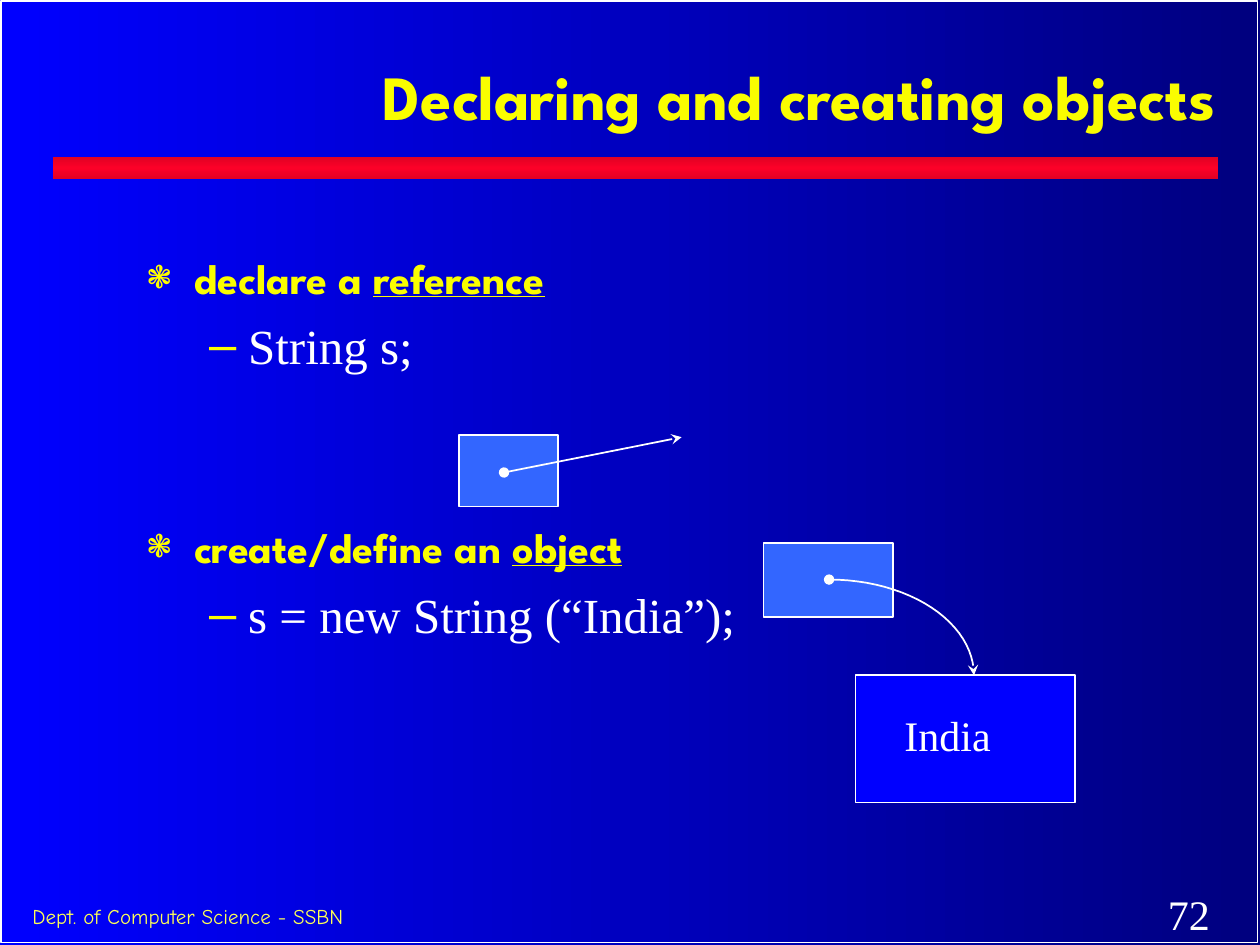
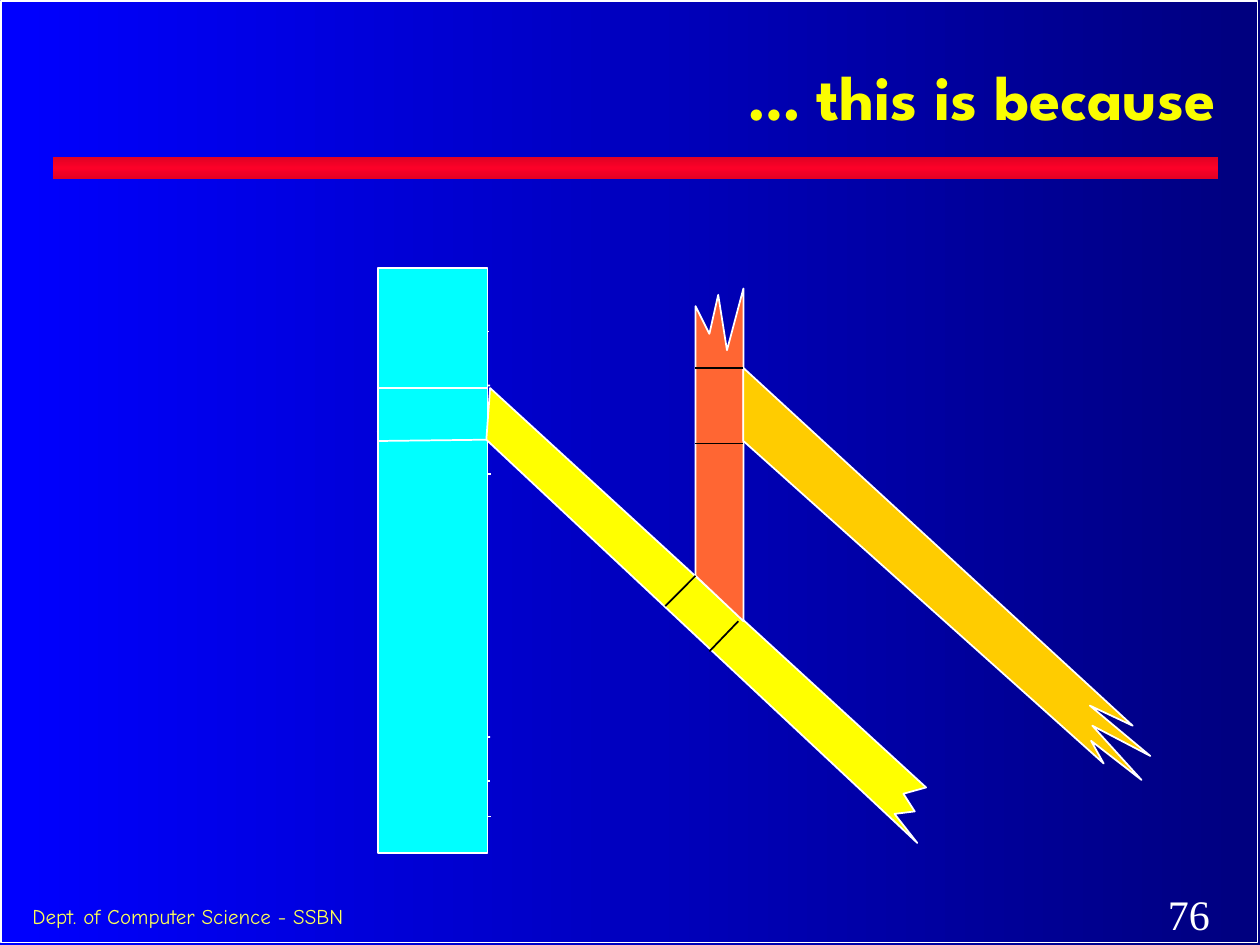
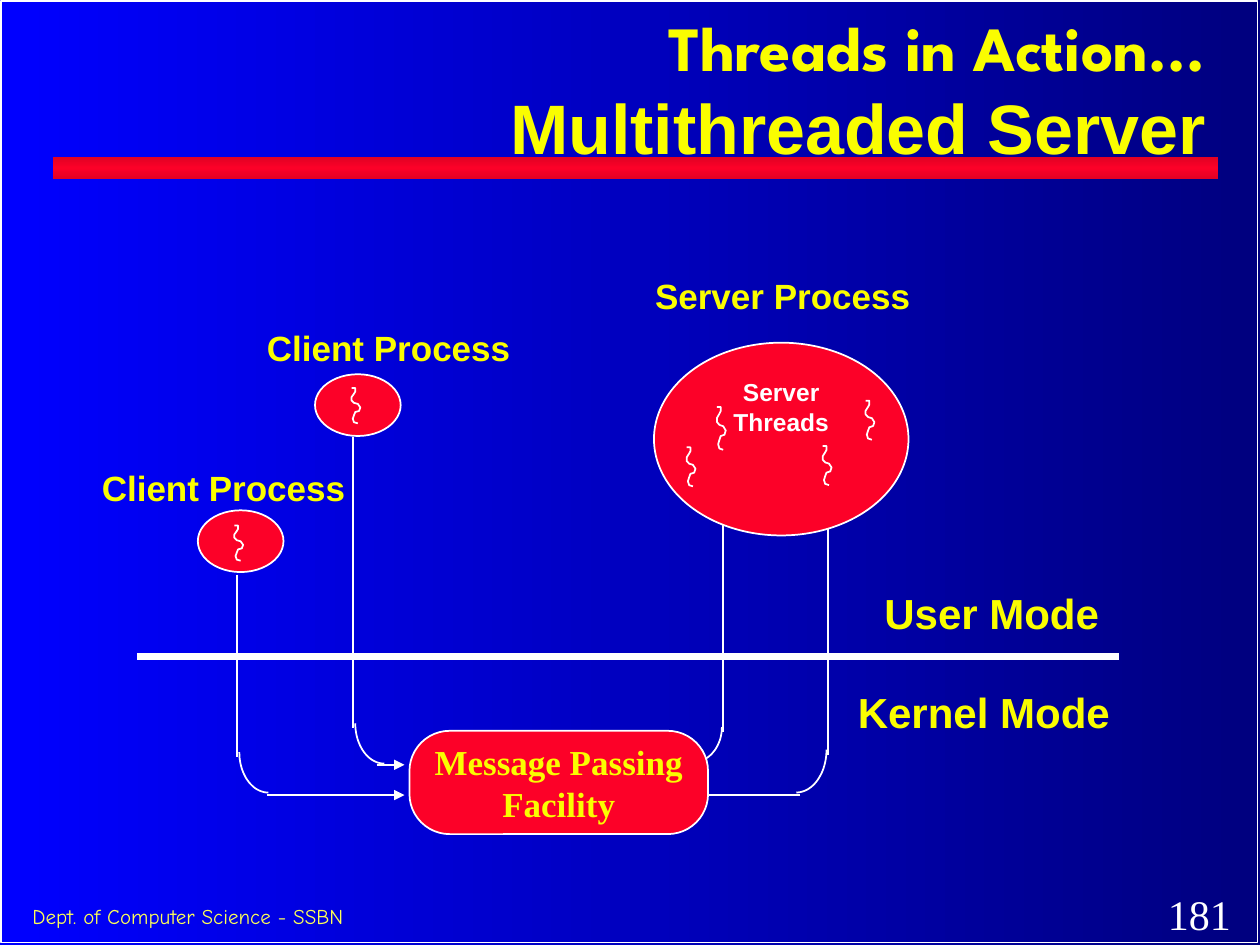
import copy
import math

import pptx
import pptx.dml.color
import pptx.enum.dml
import pptx.enum.shapes
import pptx.enum.text
import pptx.oxml
import pptx.oxml.ns
import pptx.util

C = {"yellow": "FAFD00", "white": "FFFFFF", "black": "000000", "red": "FC0128",
     "dark red": "E20124", "blue": "0000FF", "navy": "00007F", "sky": "3366FF",
     "cyan": "00FFFF", "lemon": "FFFF00", "orange": "FF6633", "amber": "FFCC00",
     "footer": "FEFF56"}
RGB = {name: pptx.dml.color.RGBColor.from_string(h) for name, h in C.items()}
IN, PT = pptx.util.Inches, pptx.util.Pt
SHAPE = pptx.enum.shapes.MSO_SHAPE
ALIGN = pptx.enum.text.PP_ALIGN
ANCHOR = pptx.enum.text.MSO_ANCHOR
NS = 'xmlns:a="http://schemas.openxmlformats.org/drawingml/2006/main"'

HEADING = {"name": "League Spartan", "size": PT(36), "bold": True, "color": "yellow"}
SUBTITLE = HEADING | {"name": "Arial", "size": PT(40)}
TOPIC = HEADING | {"size": PT(24)}
CODE = {"name": "Times New Roman", "size": PT(28), "bold": False, "color": "white"}
PLAIN = CODE | {"size": PT(24)}
LABEL = {"name": "Arial", "size": PT(20), "bold": True, "color": "yellow"}
MODE = LABEL | {"size": PT(24)}
FACILITY = LABEL | {"name": "Times New Roman"}
THREADS = LABEL | {"size": PT(14), "color": "white"}
FOOTER = {"name": "Comic Neue", "size": PT(12), "color": "footer"}


def write(sp, lines, para={}, wrap=True, anchor=ANCHOR.TOP):
    """Fill a shape with lines, each a list of (text, font format) runs."""
    tf = sp.text_frame
    frame = {"word_wrap": wrap, "vertical_anchor": anchor,
             "auto_size": pptx.enum.text.MSO_AUTO_SIZE.NONE}
    for key, value in frame.items():
        setattr(tf, key, value)
    for i, runs in enumerate(lines):
        p = tf.add_paragraph() if i else tf.paragraphs[0]
        for key, value in para.items():
            setattr(p, key, value)
        for text, font in runs:
            r = p.add_run()
            r.text = text
            for key, value in font.items():
                if key == "color":
                    r.font.color.rgb = RGB[value]
                else:
                    setattr(r.font, key, value)


def draw(s, kind, geo, fill=None, line="white", width=1, head=None, tail=None):
    """Draw a "line" (x1, y1, x2, y2), an "arc" (cx, cy, rx, ry, from, to),
    a "free" list of points, or a preset shape (left, top, width, height)."""
    if kind == "line":
        sp = s.shapes.add_connector(pptx.enum.shapes.MSO_CONNECTOR.STRAIGHT, *map(IN, geo))
    elif kind in ("arc", "free"):
        if kind == "arc":
            cx, cy, rx, ry, start, stop = geo
            angles = [math.radians(start + (stop - start) * i / 24) for i in range(25)]
            geo = [(cx + rx * math.cos(a), cy - ry * math.sin(a)) for a in angles]
        pts = [(IN(x), IN(y)) for x, y in geo]
        fb = s.shapes.build_freeform(*pts[0])
        fb.add_line_segments(pts[1:], close=pts[0] == pts[-1])
        sp = fb.convert_to_shape()
    else:
        sp = s.shapes.add_shape(kind, *map(IN, geo))
    if kind != "line":
        if fill:
            sp.fill.solid()
            sp.fill.fore_color.rgb = RGB[fill]
        else:
            sp.fill.background()
    if line:
        sp.line.color.rgb = RGB[line]
        sp.line.width = PT(width)
    else:
        sp.line.fill.background()
    ln = sp._element.spPr.find(pptx.oxml.ns.qn("a:ln"))
    for tag, end in (("headEnd", head), ("tailEnd", tail)):
        if end:
            ln.append(pptx.oxml.parse_xml(f'<a:{tag} {NS} type="{end}"/>'))
    if kind == "line":
        sp._element.spPr.append(pptx.oxml.parse_xml(f"<a:effectLst {NS}/>"))
    else:
        sp.shadow.inherit = False
    return sp


prs = pptx.Presentation()
prs.slide_width, prs.slide_height = IN(10), IN(7.5)

# Shared background
bg = prs.slide_master.background.fill
bg.gradient()
bg.gradient_angle = 0
for stop, name in zip(bg.gradient_stops, ("blue", "navy")):
    stop.color.rgb = RGB[name]

# Shared frame, band, page number, footer and title
TITLE_BOX = (2.71, 0.17, 7.04, 1.25)
pages = [
    (72, 1, TITLE_BOX, [[("Declaring and creating objects", HEADING)]],
     {"line_spacing": 0.89}, ANCHOR.MIDDLE),
    (76, 5, TITLE_BOX, [[("… this is because", HEADING)]],
     {"line_spacing": 0.89}, ANCHOR.MIDDLE),
    (181, 5, (1.13, 0.02, 8.54, 1.36),
     [[("Threads in Action...", HEADING)], [("Multithreaded Server", SUBTITLE)]],
     {}, ANCHOR.TOP),
]
slides = []
for number, layout, box, title, para, anchor in pages:
    s = prs.slides.add_slide(prs.slide_layouts[layout])
    slides.append(s)
    draw(s, SHAPE.RECTANGLE, (0.01, 0.01, 9.97, 7.47))
    band = draw(s, SHAPE.RECTANGLE, (0.42, 1.25, 9.25, 0.17), line=None)
    band.fill.gradient()
    band.fill.gradient_angle = 90
    gs = band._element.spPr.find(".//" + pptx.oxml.ns.qn("a:gsLst"))
    gs.insert(1, copy.deepcopy(gs[0]))
    gs[1].set("pos", "50000")
    for stop, name in zip(band.fill.gradient_stops, ("dark red", "red", "dark red")):
        stop.color.rgb = RGB[name]
    sp = s.shapes.add_textbox(*map(IN, (9.17, 7, 0.75, 0.5)))
    write(sp, [[(str(number), PLAIN)]])
    sp = s.shapes.add_textbox(*map(IN, (0.16, 7.14, 4.84, 0.29)))
    write(sp, [[("Dept. of Computer Science - SSBN", FOOTER)]], {"line_spacing": 0.93})
    sp = s.shapes.title
    sp.left, sp.top, sp.width, sp.height = map(IN, box)
    s.shapes._spTree.append(sp._element)
    write(sp, title, {"alignment": ALIGN.RIGHT} | para, anchor=anchor)
declaring, because, threads = slides

# Declaring and creating objects: list
s = declaring
body = s.placeholders[1]
body.left, body.top, body.width, body.height = map(IN, (1.06, 2, 8.71, 4.75))
s.shapes._spTree.append(body._element)
write(body, [
    [("declare a ", TOPIC), ("reference", TOPIC | {"underline": True})],
    [("String s;", CODE)],
    [("create/define an ", TOPIC), ("object", TOPIC | {"underline": True})],
    [("s = new String (“India”);", CODE)],
])
bullets = [("❃", 75, 0.38, 0.38, 0.89), ("–", 100, 0.81, 0.31, 1.0)]
for i, (p, before) in enumerate(zip(body.text_frame.paragraphs, (0, 7, 87.4, 7))):
    char, size, margin, hang, spacing = bullets[i % 2]
    pPr = p._p.get_or_add_pPr()
    pPr.set("marL", str(IN(margin)))
    pPr.set("indent", str(-IN(hang)))
    for xml in (f'<a:buClr {NS}><a:srgbClr val="{C["lemon"]}"/></a:buClr>',
                f'<a:buSzPct {NS} val="{size * 1000}"/>',
                f'<a:buChar {NS} char="{char}"/>'):
        pPr.append(pptx.oxml.parse_xml(xml))
    p.level, p.line_spacing, p.space_before = i % 2, spacing, PT(before)

# References and the object they point to
draw(s, SHAPE.RECTANGLE, (3.64, 3.45, 0.79, 0.57), "sky")
draw(s, "line", (4, 3.75, 5.41, 3.47), head="oval", tail="stealth")
draw(s, SHAPE.RECTANGLE, (6.06, 4.31, 1.03, 0.59), "sky")
draw(s, "arc", (6.58, 5.36, 1.15, 0.76, 90, 0), head="oval", tail="stealth")
draw(s, SHAPE.RECTANGLE, (6.79, 5.36, 1.74, 1.01), "blue")
sp = s.shapes.add_textbox(*map(IN, (7.08, 5.58, 0.89, 0.5)))
write(sp, [[("India", PLAIN)]], wrap=False)

# This is because: column with rungs behind it
s = because
rungs = [(3, 2.63, 2.63), (3.01, 3.07, 3.06), (2.99, 3.43, 3.43), (3.01, 5.86, 5.85),
         (3.01, 6.2, 6.2), (3.02, 6.48, 6.48), (3.02, 3.76, 3.76)]
for x, y1, y2 in rungs:
    draw(s, "line", (x, y1, x + 0.88, y2))
draw(s, SHAPE.RECTANGLE, (3, 2.13, 0.87, 4.64), "cyan")
draw(s, "line", (3.87, 3.08, 2.99, 3.08))

# Torn branches
draw(s, "free", [(3.89, 3.08), (7.35, 6.25), (7.17, 6.3), (7.26, 6.44), (7.1, 6.46),
                 (7.28, 6.69), (3.86, 3.49), (3.89, 3.08)], "lemon")
draw(s, "line", (3.86, 3.49, 3, 3.5))
draw(s, "free", [(5.52, 4.57), (5.52, 2.43), (5.63, 2.65), (5.7, 2.34), (5.77, 2.78),
                 (5.9, 2.29), (5.9, 4.93), (5.52, 4.57)], "orange")
draw(s, "free", [(5.9, 2.92), (8.99, 5.76), (8.65, 5.6), (9.13, 6), (8.67, 5.76),
                 (9.06, 6.19), (8.66, 5.88), (8.76, 6.06), (5.9, 3.5), (5.9, 2.92)], "amber")
for joint in [(5.52, 4.57, 5.28, 4.81), (5.86, 4.93, 5.63, 5.17),
              (5.9, 2.92, 5.52, 2.92), (5.9, 3.52, 5.52, 3.52)]:
    draw(s, "line", joint, line="black")

# Multithreaded server: links from the server down to the facility
s = threads
draw(s, "line", (6.57, 3.94, 6.57, 5.99))
draw(s, "arc", (6.32, 5.95, 0.24, 0.34, 0, -90))
draw(s, "line", (6.35, 6.31, 5.23, 6.31))
draw(s, "line", (5.74, 3.7, 5.74, 5.81))
draw(s, "arc", (5.5, 5.77, 0.23, 0.28, 0, -90))

# Border between user mode and kernel mode
draw(s, "line", (1.09, 5.21, 8.88, 5.21), width=4)

# Processes and their threads
server = draw(s, SHAPE.OVAL, (5.19, 2.72, 2.02, 1.53), "red")
write(server, [[("Server", THREADS)], [("Threads", THREADS)]],
      {"alignment": ALIGN.CENTER}, wrap=False)
for x, y in [(2.5, 2.97), (1.57, 4.05)]:
    draw(s, SHAPE.OVAL, (x, y, 0.68, 0.49), "red")
squiggle = [(0, 0), (0.03, 0), (0.03, 0.1), (0.02, 0.16), (0, 0.26), (0, 0.35),
            (0.02, 0.42), (0.05, 0.45), (0.07, 0.55), (0.06, 0.65), (0.03, 0.68),
            (0.02, 0.77), (0.01, 0.87), (0.02, 0.97), (0.05, 1)]
for x, y, h in [(5.45, 3.55, 0.31), (5.69, 3.23, 0.34), (6.53, 3.54, 0.31),
                (6.87, 3.18, 0.31), (2.79, 3.08, 0.28), (1.86, 4.17, 0.28)]:
    draw(s, "free", [(x + dx, y + h * dy) for dx, dy in squiggle], "red")

# Message passing facility
facility = draw(s, SHAPE.ROUNDED_RECTANGLE, (3.25, 5.8, 2.37, 0.82), "red")
facility.adjustments[0] = 0.39
write(facility, [[("Message Passing", FACILITY)], [("Facility", FACILITY)]],
      {"alignment": ALIGN.CENTER}, wrap=False, anchor=ANCHOR.MIDDLE)

# Links from the clients: down, round the corner, into the facility
for x, top, bottom, start, y in [(2.8, 3.47, 5.78, 2.99, 6.07), (1.88, 4.56, 6.01, 2.12, 6.31)]:
    draw(s, "line", (x, top, x, bottom))
    draw(s, "arc", (x + 0.25, bottom - 0.04, 0.23, 0.32, 270, 180))
    draw(s, "line", (start, y, 3.21, y), tail="triangle")

# Labels
for text, box, font, wrap in [
        ("Server Process", (5.1, 2.13, 2.58, 0.43), LABEL, True),
        ("Client Process", (2.02, 2.54, 2.33, 0.43), LABEL, True),
        ("Client Process", (0.71, 3.65, 2.93, 0.43), LABEL, True),
        ("User Mode", (6.92, 4.61, 1.98, 0.5), MODE, False),
        ("Kernel Mode", (6.71, 5.4, 2.3, 0.5), MODE, False)]:
    sp = s.shapes.add_textbox(*map(IN, box))
    write(sp, [[(text, font)]], wrap=wrap, anchor=ANCHOR.TOP if wrap else ANCHOR.MIDDLE)

# Title above everything else
s.shapes._spTree.append(s.shapes.title._element)

prs.save("out.pptx")
